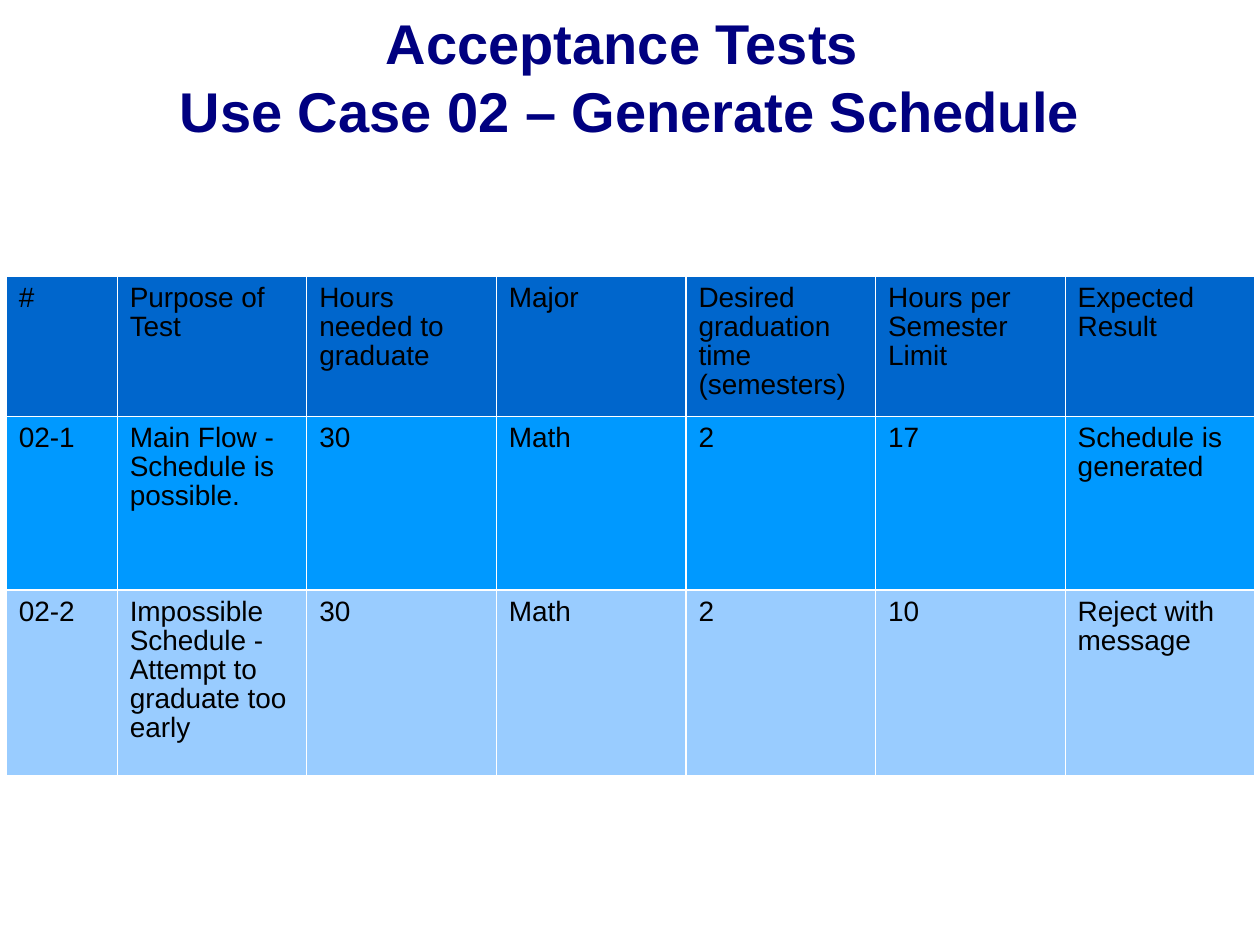
from dataclasses import astuple, dataclass

from lxml import etree
from pptx import Presentation
from pptx.dml.color import RGBColor
from pptx.enum.text import MSO_ANCHOR, PP_ALIGN
from pptx.oxml.ns import qn
from pptx.util import Emu, Pt

CENTER = PP_ALIGN.CENTER
MIDDLE = MSO_ANCHOR.MIDDLE
TOP = MSO_ANCHOR.TOP

EMU_PER_PX = 4572  # 200 px to the inch
FONT = "Arial"
NAVY, BLACK, WHITE = "000080", "000000", "FFFFFF"
BORDER_SIDES = ("a:lnL", "a:lnR", "a:lnT", "a:lnB")


@dataclass
class AcceptanceTest:
    number: str
    purpose: str
    hours_needed: str
    major: str
    graduation_time: str
    hours_limit: str
    expected: str


@dataclass
class RowStyle:
    height: int
    fill: str


HEADINGS = AcceptanceTest("#", "Purpose of Test", "Hours needed to graduate", "Major",
                          "Desired graduation time (semesters)",
                          "Hours per Semester Limit", "Expected Result")
TESTS = [
    AcceptanceTest("02-1", "Main Flow - Schedule is possible.", "30", "Math", "2", "17",
                   "Schedule is generated"),
    AcceptanceTest("02-2", "Impossible Schedule - Attempt to graduate too early", "30",
                   "Math", "2", "10", "Reject with message"),
]
# The heading row grows to fit its text
ROW_STYLES = [RowStyle(130, "0066CC"), RowStyle(276, "0099FF"), RowStyle(294, "99CCFF")]
COLUMN_WIDTHS = [176] + [301] * 6


def px(length: int) -> Emu:
    return Emu(length * EMU_PER_PX)


def color(hex_value: str) -> RGBColor:
    return RGBColor.from_string(hex_value)


def add_run(paragraph, text: str, size: int, hex_value: str, bold: bool = False) -> None:
    run = paragraph.add_run()
    run.text = text
    run.font.name = FONT
    run.font.size = Pt(size)
    run.font.bold = bold
    run.font.color.rgb = color(hex_value)


def add_borders(cell) -> None:
    properties = cell._tc.get_or_add_tcPr()
    for position, side in enumerate(BORDER_SIDES):
        line = etree.Element(qn(side), w=str(Pt(0.75)))
        fill = etree.SubElement(line, qn("a:solidFill"))
        etree.SubElement(fill, qn("a:srgbClr"), val=WHITE)
        properties.insert(position, line)


def fill_cell(cell, text: str, fill: str) -> None:
    cell.fill.solid()
    cell.fill.fore_color.rgb = color(fill)
    cell.margin_left = cell.margin_right = px(20)
    cell.margin_top, cell.margin_bottom = px(14), px(10)
    cell.vertical_anchor = TOP
    paragraph = cell.text_frame.paragraphs[0]
    paragraph.line_spacing = 0.93
    add_run(paragraph, text, 16, BLACK)
    add_borders(cell)


def add_title(slide, lines: list[str]) -> None:
    box = slide.shapes.add_textbox(px(100), px(4), px(1800), px(234))
    frame = box.text_frame
    frame.word_wrap = True
    frame.vertical_anchor = MIDDLE
    paragraph = frame.paragraphs[0]
    paragraph.alignment = CENTER
    for index, line in enumerate(lines):
        if index:
            paragraph.add_line_break()
        add_run(paragraph, line, 32, NAVY, bold=True)


def add_test_table(slide, records: list[AcceptanceTest]) -> None:
    height = sum(style.height for style in ROW_STYLES)
    table = slide.shapes.add_table(len(records), len(COLUMN_WIDTHS), px(10), px(438),
                                   px(sum(COLUMN_WIDTHS)), px(height)).table
    table.first_row = table.horz_banding = False
    for column, width in zip(table.columns, COLUMN_WIDTHS):
        column.width = px(width)
    for row, record, style in zip(table.rows, records, ROW_STYLES):
        row.height = px(style.height)
        for cell, text in zip(row.cells, astuple(record)):
            fill_cell(cell, text, style.fill)


def main() -> None:
    presentation = Presentation()
    presentation.slide_width, presentation.slide_height = px(2000), px(1500)
    slide = presentation.slides.add_slide(presentation.slide_layouts[6])
    # Title
    add_title(slide, ["Acceptance Tests ", "Use Case 02 – Generate Schedule"])
    # Table of acceptance tests
    add_test_table(slide, [HEADINGS, *TESTS])
    presentation.save("out.pptx")


if __name__ == "__main__":
    main()
